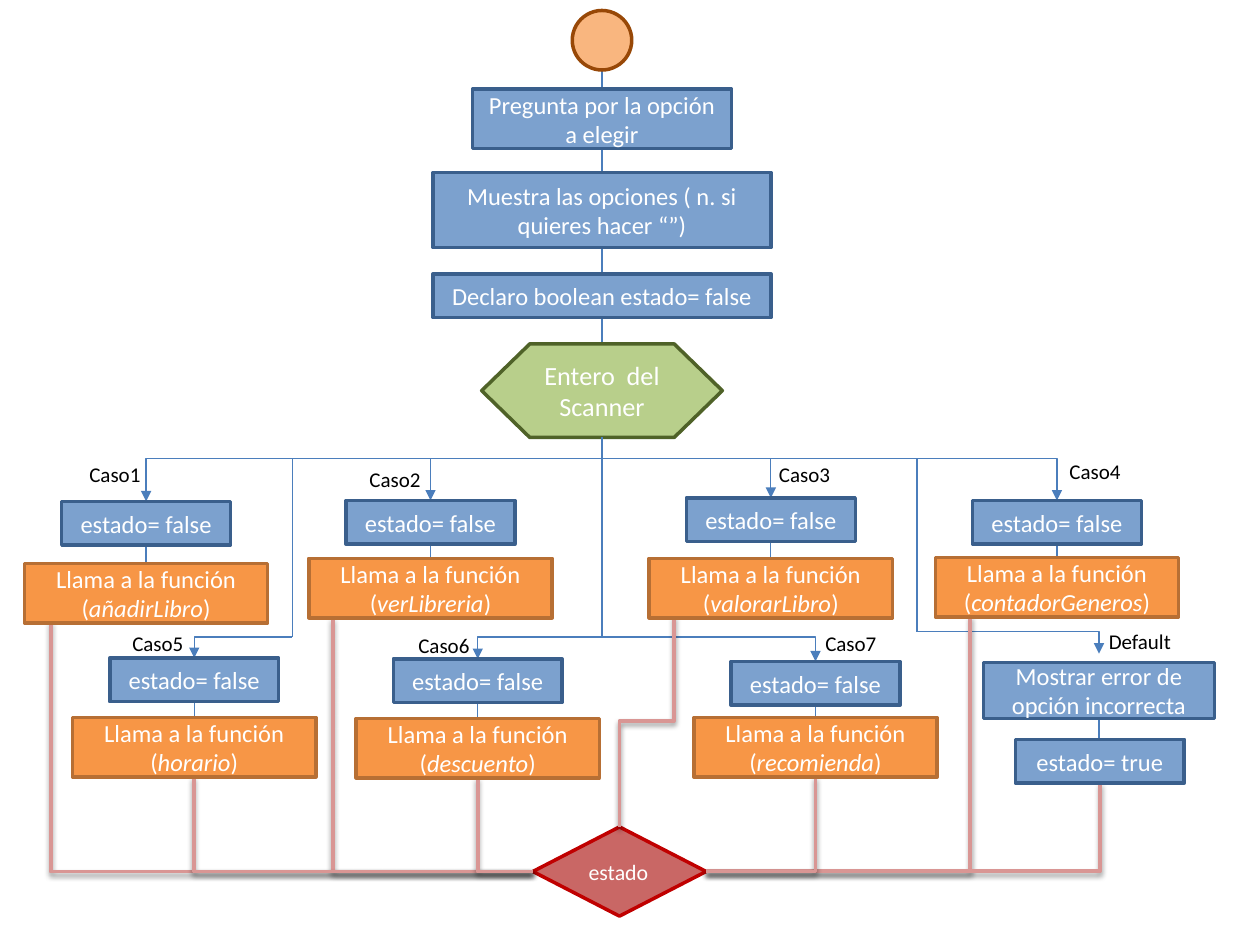
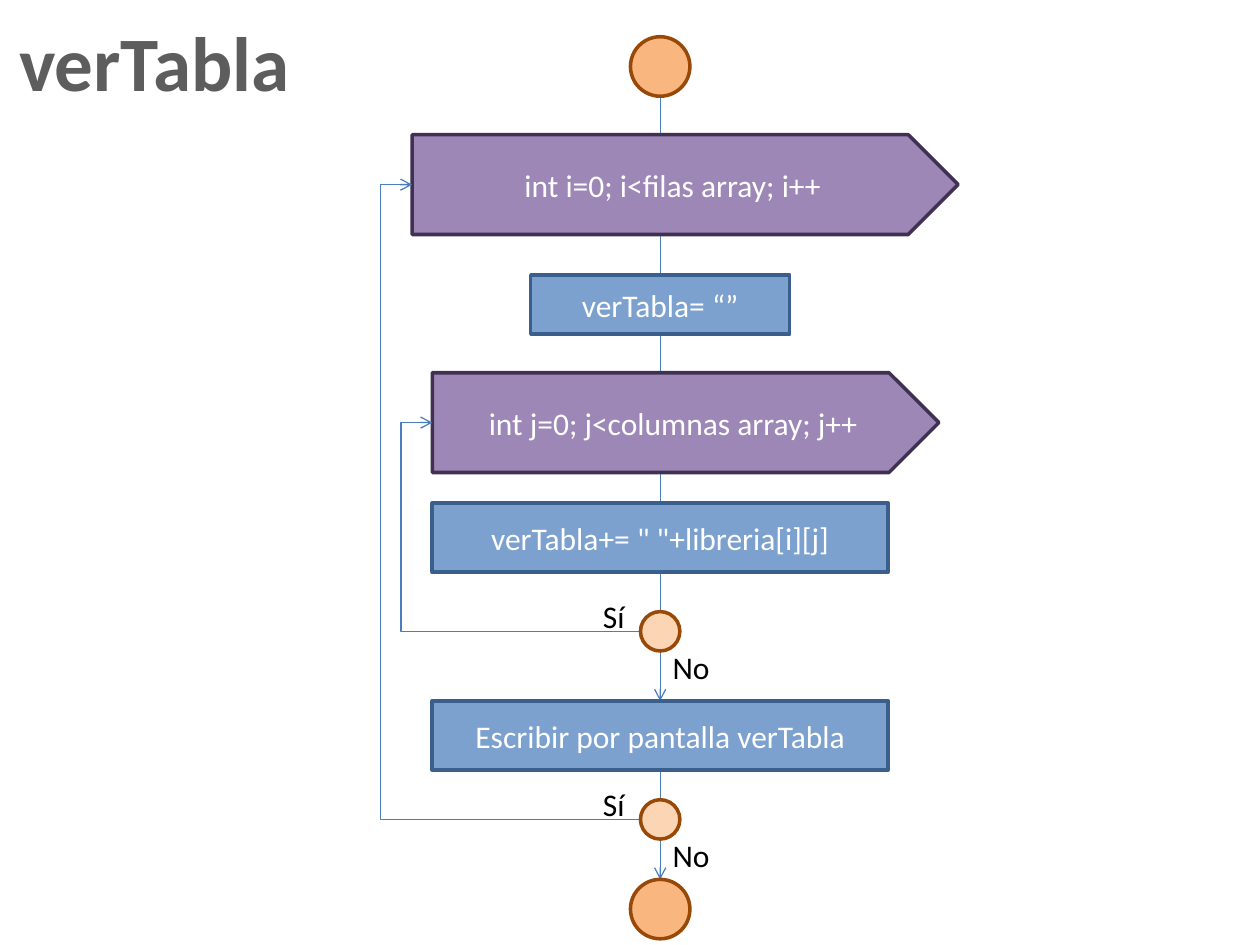
from dataclasses import dataclass
from itertools import pairwise
from typing import NamedTuple

from pptx import Presentation
from pptx.dml.color import RGBColor as Rgb
from pptx.enum.shapes import MSO_CONNECTOR as Link, MSO_SHAPE as Form
from pptx.enum.text import MSO_ANCHOR as Anchor, MSO_AUTO_SIZE as Fit, PP_ALIGN as Align
from pptx.oxml.ns import qn
from pptx.oxml.xmlchemy import OxmlElement as Node
from pptx.util import Pt


class Look(NamedTuple):
    fill: str
    edge: str
    size: float = 14
    align: Align = Align.CENTER


class Pen(NamedTuple):
    tone: str
    width: float
    shade: bool = False


@dataclass(frozen=True)
class Theme:
    font: str = "Calibri"
    white: str = "FFFFFF"
    black: str = "000000"
    grey: str = "5D5D5D"
    small: float = 12
    large: float = 18
    title: float = 44
    step: Look = Look("7CA1CE", "3A5F8C")
    call: Look = Look("F79646", "B76F34")
    scan: Look = Look("B8CF8B", "4F6228", 15)
    test: Look = Look("C96765", "C00000", 12.5, Align.LEFT)
    dot: Look = Look("F9B67F", "984807")
    node: Look = Look("FCD5B5", "984807")
    loop: Look = Look("9D87B7", "403152", 18)
    flow: Pen = Pen("4B7EBC", 0.75)
    back: Pen = Pen("D99694", 2.25, True)


THEME = Theme()
STEP = Form.FLOWCHART_PROCESS
DOT = Form.FLOWCHART_CONNECTOR


class Spot(NamedTuple):
    x: float
    y: float


class Run(NamedTuple):
    text: str
    slant: bool = False


@dataclass(frozen=True)
class Box:
    mid: float
    top: float
    wide: float
    high: float
    look: Look
    runs: tuple[Run, ...] = ()
    form: Form = STEP

    @property
    def base(self) -> float:
        return self.top + self.high


@dataclass(frozen=True)
class Label:
    text: str
    x: float
    y: float
    wide: float = 45
    high: float = 21.5


@dataclass(frozen=True)
class Case:
    name: str
    label: Spot
    mid: float
    top: float
    drop: float
    func: str

    def state(self) -> Box:
        return Box(self.mid, self.top, 96.5, 25, THEME.step, (Run("estado= false"),))

    def call(self) -> Box:
        runs = (Run("Llama a la función ("), Run(self.func, True), Run(")"))
        return Box(self.mid, self.drop, 139, 34, THEME.call, runs)


def write(frame, runs: tuple[Run, ...], size: float, tone: str,
          align: Align = Align.LEFT, bold: bool = False) -> None:
    para = frame.paragraphs[0]
    para.alignment = align
    for item in runs:
        run = para.add_run()
        run.text = item.text
        font = run.font
        font.name, font.size, font.bold = THEME.font, Pt(size), bold
        font.italic = item.slant
        font.color.rgb = Rgb.from_string(tone)


def draw(slide, box: Box) -> None:
    shape = slide.shapes.add_shape(
        box.form, Pt(box.mid - box.wide / 2), Pt(box.top), Pt(box.wide), Pt(box.high))
    shape.shadow.inherit = False
    shape.fill.solid()
    shape.fill.fore_color.rgb = Rgb.from_string(box.look.fill)
    shape.line.color.rgb = Rgb.from_string(box.look.edge)
    shape.line.width = Pt(2)
    if box.runs:
        frame = shape.text_frame
        frame.word_wrap = True
        frame.vertical_anchor = Anchor.MIDDLE
        write(frame, box.runs, box.look.size, THEME.white, box.look.align)


def note(slide, label: Label, size: float) -> None:
    shape = slide.shapes.add_textbox(
        Pt(label.x), Pt(label.y), Pt(label.wide), Pt(label.high))
    shape.text_frame.word_wrap = True
    shape.text_frame.auto_size = Fit.SHAPE_TO_FIT_TEXT
    write(shape.text_frame, (Run(label.text),), size, THEME.black)


def child(owner, tag: str, **attrs: str):
    node = Node(tag)
    for key, value in attrs.items():
        node.set(key, value)
    owner.append(node)
    return node


def ink(line, pen: Pen, head: str) -> None:
    line.line.color.rgb = Rgb.from_string(pen.tone)
    line.line.width = Pt(pen.width)
    props = line._element.spPr
    if head:
        child(props.find(qn("a:ln")), "a:tailEnd", type=head)
    list_ = child(props, "a:effectLst")
    if pen.shade:
        cast = child(list_, "a:outerShdw", blurRad=str(Pt(3.1)), dist=str(Pt(1.6)),
                     dir="5400000", rotWithShape="0")
        tone = child(cast, "a:srgbClr", val=THEME.black)
        child(tone, "a:alpha", val="38000")


def wire(slide, start: Spot, end: Spot, head: str = "") -> None:
    line = slide.shapes.add_connector(
        Link.STRAIGHT, Pt(start.x), Pt(start.y), Pt(end.x), Pt(end.y))
    ink(line, THEME.flow, head)


def bend(slide, start: Spot, end: Spot, down: bool, turn: float | None = None,
         pen: Pen = THEME.flow, head: str = "") -> None:
    wide, high = abs(end.x - start.x), abs(end.y - start.y)
    if down:
        wide, high = high, wide
    left = (start.x + end.x - wide) / 2
    top = (start.y + end.y - high) / 2
    line = slide.shapes.add_connector(
        Link.ELBOW, Pt(left), Pt(top), Pt(left + wide), Pt(top + high))
    right = end.x > start.x
    angle = (270 if right else 90) if down else (0 if right else 180)
    frame = line._element.spPr.find(qn("a:xfrm"))
    frame.set("rot", str(angle * 60000))
    if down and right:
        frame.set("flipH", "1")
    if angle == 180 and end.y > start.y:
        frame.set("flipV", "1")
    form = line._element.spPr.find(qn("a:prstGeom"))
    if turn is None:
        form.set("prst", "bentConnector2")
    else:
        first, last = (start.y, end.y) if down else (start.x, end.x)
        ratio = round((turn - first) / (last - first) * 100000)
        guides = form.find(qn("a:avLst"))
        if guides is None:
            guides = child(form, "a:avLst")
        child(guides, "a:gd", name="adj1", fmla=f"val {ratio}")
    ink(line, pen, head)


def chain(slide, boxes: list[Box]) -> None:
    for box, below in pairwise(boxes):
        wire(slide, Spot(box.mid, box.base), Spot(box.mid, below.top))
    for box in boxes:
        draw(slide, box)


def menu(slide) -> None:
    mid, bar, low = 344, 262, 364
    upper = [
        Case("Caso1", Spot(44, 260), 83.5, 286.5, 322, "añadirLibro"),
        Case("Caso2", Spot(204, 263), 246, 286, 319, "verLibreria"),
        Case("Caso3", Spot(438, 260), 440.5, 284.5, 319, "valorarLibro"),
        Case("Caso4", Spot(604, 258.5), 604, 286, 318.5, "contadorGeneros"),
    ]
    lower = [
        Case("Caso5", Spot(68.5, 356.5), 111, 376, 410, "horario"),
        Case("Caso6", Spot(232, 358), 273, 376.5, 410.5, "descuento"),
        Case("Caso7", Spot(464.5, 356.5), 466, 378, 410, "recomienda"),
    ]
    cases = upper + lower
    fail = Box(628, 378.5, 132, 32, THEME.step, (Run("Mostrar error de opción incorrecta"),))
    true = Box(628.5, 422.5, 96.5, 25, THEME.step, (Run("estado= true"),))
    test = Box(354, 472.5, 99, 51, THEME.test, (Run("estado"),), Form.FLOWCHART_DECISION)
    scan = Box(mid, 196.5, 137.5, 53.5, THEME.scan, (Run("Entero  del Scanner"),),
               Form.FLOWCHART_PREPARATION)
    chain(slide, [
        Box(mid, 6, 34, 34, THEME.dot, form=DOT),
        Box(mid, 51, 148, 34, THEME.step, (Run("Pregunta por la opción a elegir"),)),
        Box(mid, 98.5, 193, 43, THEME.step,
            (Run("Muestra las opciones ( n. si quieres hacer “”)"),)),
        Box(mid, 156.5, 193, 25, THEME.step, (Run("Declaro boolean estado= false"),)),
        scan,
    ])

    root = Spot(mid, scan.base)
    for case in upper:
        bend(slide, root, Spot(case.mid, case.top), True, bar, head="triangle")
    for x, top, base in ((167, bar, low), (mid, scan.base, low), (524, bar, 361)):
        wire(slide, Spot(x, top), Spot(x, base))
    for x, case in zip((167, mid, mid), lower):
        bend(slide, Spot(x, low), Spot(case.mid, case.top), False, head="triangle")
    bend(slide, Spot(524, 361), Spot(fail.mid, 373.5), False, head="triangle")

    draw(slide, test)
    level = test.top + test.high / 2
    west = Spot(test.mid - test.wide / 2, level)
    east = Spot(test.mid + test.wide / 2, level)
    legs = [Spot(29, 355), Spot(190.5, 353.5), Spot(554.5, 352), Spot(true.mid, true.base)]
    legs += [Spot(case.mid, case.call().base) for case in lower]
    for leg in legs:
        bend(slide, leg, west if leg.x < test.mid else east, True, pen=THEME.back)
    bend(slide, Spot(385, 352), Spot(test.mid, test.top), True, 412, THEME.back)

    for case in cases:
        chain(slide, [case.state(), case.call()])
        note(slide, Label(case.name, *case.label), THEME.small)
    chain(slide, [fail, true])
    note(slide, Label("Default", 626.5, 355.5, 68), THEME.small)


def table(slide) -> None:
    mid = 377.25
    look = THEME.step._replace(size=THEME.large)
    first = Box(391.5, 77, 312, 57, THEME.loop, (Run("int i=0; i<filas array; i++"),),
                Form.PENTAGON)
    inner = Box(391.75, 213, 289.5, 57, THEME.loop,
                (Run("int j=0; j<columnas array; j++"),), Form.PENTAGON)
    clear = Box(mid, 157, 148, 34, look, (Run("verTabla= “”"),))
    join = Box(mid, 287.5, 260.5, 39.5, look, (Run('verTabla+= " "+libreria[i][j]'),))
    show = Box(mid, 400.5, 260.5, 39.5, look, (Run("Escribir por pantalla verTabla"),))
    start, stop = (Box(mid, y, 34, 34, THEME.dot, form=DOT) for y in (21, 502.5))
    boxes = [start, first, clear, inner, join, show, stop]
    for box, below in pairwise(boxes):
        head = "arrow" if below in (show, stop) else ""
        wire(slide, Spot(mid, box.base), Spot(mid, below.top), head)
    for box in boxes:
        draw(slide, box)

    for y, goal, gap in ((349.5, inner, 18), (457, first, 18)):
        node = Box(mid, y, 22.5, 22.5, THEME.node, form=DOT)
        left = goal.mid - goal.wide / 2
        bend(slide, Spot(mid - node.wide / 2, y + node.high / 2),
             Spot(left, goal.top + goal.high / 2), False, left - gap, head="arrow")
        draw(slide, node)
        note(slide, Label("Sí", 337.5, y - 12, 28, 29), THEME.large)
        note(slide, Label("No", mid, y + 17, 40, 29), THEME.large)

    title = slide.shapes.add_textbox(Pt(3), Pt(5), Pt(170.5), Pt(60.5)).text_frame
    title.word_wrap = False
    title.auto_size = Fit.SHAPE_TO_FIT_TEXT
    write(title, (Run("verTabla"),), THEME.title, THEME.grey, Align.CENTER, True)


def main() -> None:
    deck = Presentation()
    deck.slide_width, deck.slide_height = Pt(720), Pt(540)
    for build in (menu, table):
        build(deck.slides.add_slide(deck.slide_layouts[6]))
    deck.save("out.pptx")


main()
